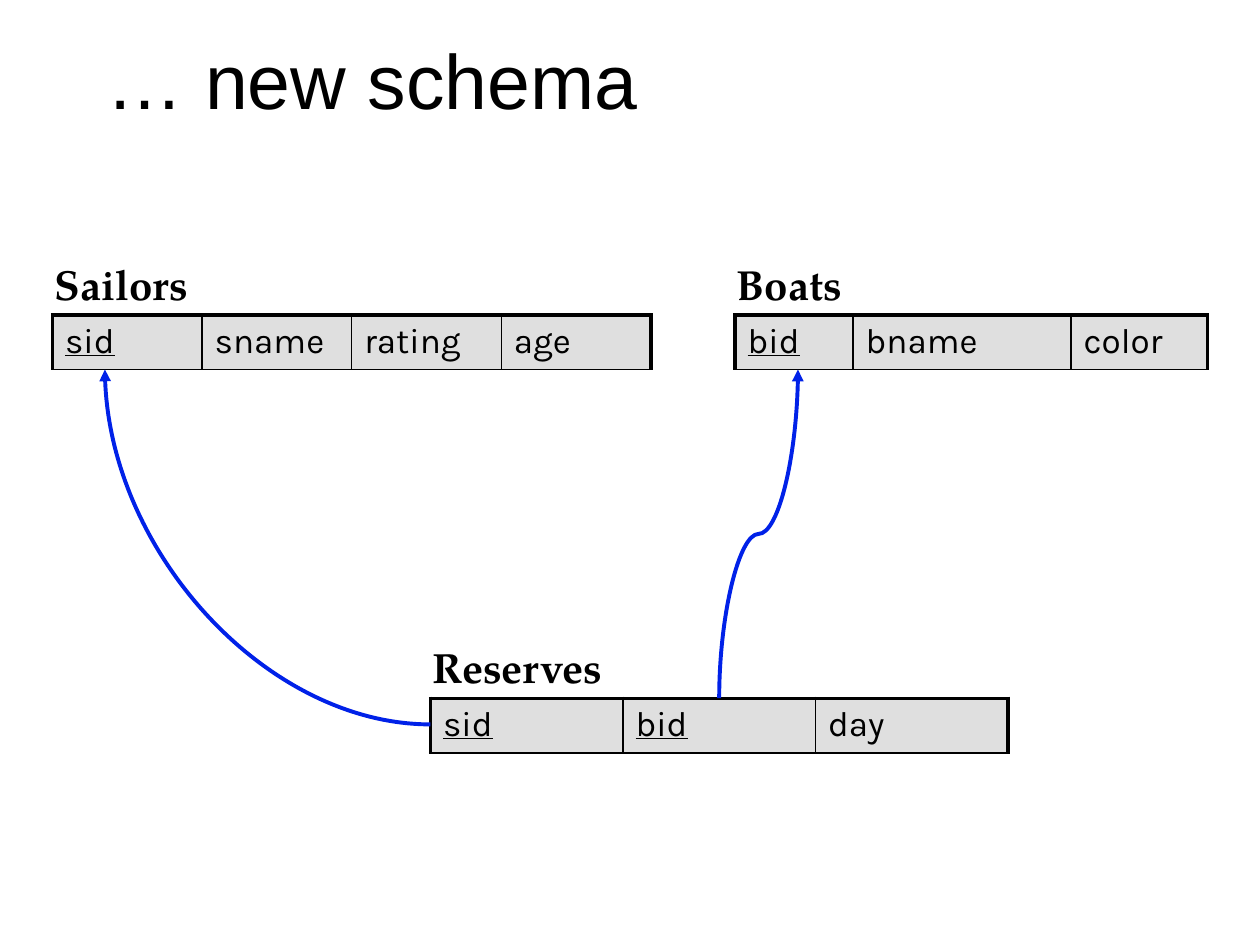
from dataclasses import dataclass

from lxml import etree
from pptx import Presentation
from pptx import util as u
from pptx.dml.color import RGBColor
from pptx.enum import shapes, text
from pptx.oxml.ns import qn

COLORS = {"ink": "000000", "cell": "C0C0C0", "arrow": "0021E8"}
UNITS_PER_INCH = 12  # one grid unit is a twelfth of an inch
ROW_HEIGHT = 5.2
THICK, THIN = 2.25, 1

TITLE_FONT = {"name": "Arial", "size": u.Pt(44)}
LABEL_FONT = {"name": "TeX Gyre Pagella", "size": u.Pt(24), "bold": True}
FIELD_FONT = {"name": "Karla", "size": u.Pt(20)}


@dataclass
class Field:
    name: str
    width: float
    key: bool = False


@dataclass
class Relation:
    name: str
    left: float
    top: float
    label_width: float
    fields: list[Field]


@dataclass
class Reference:
    begin: tuple[float, float]
    end: tuple[float, float]
    preset: str
    rotation: int = 0


RELATIONS = [
    Relation("Sailors", 5, 30, 15.25, [
        Field("sid", 14.25, True), Field("sname", 14.25),
        Field("rating", 14.25), Field("age", 14.25)]),
    Relation("Reserves", 41, 66.5, 18.85, [
        Field("sid", 55 / 3, True), Field("bid", 55 / 3, True), Field("day", 55 / 3)]),
    Relation("Boats", 70, 30, 12.5, [
        Field("bid", 11.25, True), Field("bname", 20.75), Field("color", 13)]),
]

REFERENCES = [
    Reference((41, 69), (10, 35.2), "curvedConnector2"),
    Reference((68.5, 66.5), (76, 35.2), "curvedConnector3", 90),
]


def grid(units: float) -> int:
    return u.Inches(units / UNITS_PER_INCH)


def add_run(paragraph, words: str, font_values: dict) -> None:
    run = paragraph.add_run()
    run.text = words
    for key, value in font_values.items():
        setattr(run.font, key, value)
    run.font.color.rgb = RGBColor.from_string(COLORS["ink"])


def add_text(slide, words: str, box: tuple, font_values: dict, frame_values: dict) -> None:
    frame = slide.shapes.add_textbox(*map(grid, box)).text_frame
    for key, value in frame_values.items():
        setattr(frame, key, value)
    add_run(frame.paragraphs[0], words, font_values)


def add_border(cell, side: str, points: float) -> None:
    line = etree.SubElement(cell._tc.get_or_add_tcPr(), qn(f"a:ln{side}"), w=str(u.Pt(points)))
    fill = etree.SubElement(line, qn("a:solidFill"))
    etree.SubElement(fill, qn("a:srgbClr"), val=COLORS["ink"])


def fill_cell(cell, field: Field, first: bool, last: bool) -> None:
    # Borders come before the fill in the cell's properties
    borders = {"L": THICK if first else THIN, "R": THICK if last else THIN,
               "T": THICK, "B": THIN}
    for side, points in borders.items():
        add_border(cell, side, points)
    cell.fill.solid()
    cell.fill.fore_color.rgb = RGBColor.from_string(COLORS["cell"])
    tint = cell._tc.tcPr.find(qn("a:solidFill"))[0]
    etree.SubElement(tint, qn("a:alpha"), val="50000")

    paragraph = cell.text_frame.paragraphs[0]
    spacing = etree.SubElement(paragraph._p.get_or_add_pPr(), qn("a:spcBef"))
    etree.SubElement(spacing, qn("a:spcPct"), val="20000")
    add_run(paragraph, field.name, FIELD_FONT | {"underline": field.key})


def add_relation(slide, relation: Relation) -> None:
    fields = relation.fields
    width = sum(field.width for field in fields)
    table = slide.shapes.add_table(
        1, len(fields), *map(grid, (relation.left, relation.top, width, ROW_HEIGHT))).table
    table.first_row = table.horz_banding = False
    for index, field in enumerate(fields):
        table.columns[index].width = grid(field.width)
        fill_cell(table.cell(0, index), field, index == 0, index == len(fields) - 1)
    # The name sits half an inch above its row
    add_text(slide, relation.name,
             (relation.left - 1, relation.top - 6, relation.label_width, 6.1), LABEL_FONT,
             {"word_wrap": False, "auto_size": text.MSO_AUTO_SIZE.SHAPE_TO_FIT_TEXT})


def add_reference(slide, reference: Reference) -> None:
    (x1, y1), (x2, y2) = reference.begin, reference.end
    if reference.rotation == 90:
        # Turn both ends back about the midpoint, so the rotation restores them
        mid_x, mid_y = (x1 + x2) / 2, (y1 + y2) / 2
        x1, y1, x2, y2 = (mid_x + y1 - mid_y, mid_y - x1 + mid_x,
                          mid_x + y2 - mid_y, mid_y - x2 + mid_x)
    arrow = slide.shapes.add_connector(
        shapes.MSO_CONNECTOR.CURVE, *map(grid, (x1, y1, x2, y2)))
    properties = arrow._element.spPr
    properties.find(qn("a:prstGeom")).set("prst", reference.preset)
    if reference.rotation:
        properties.find(qn("a:xfrm")).set("rot", str(reference.rotation * 60000))
    arrow.line.color.rgb = RGBColor.from_string(COLORS["arrow"])
    arrow.line.width = u.Pt(THICK)
    etree.SubElement(arrow.line._get_or_add_ln(), qn("a:tailEnd"), type="triangle")
    etree.SubElement(properties, qn("a:effectLst"))


def main() -> None:
    deck = Presentation()
    deck.slide_width, deck.slide_height = u.Inches(10), u.Inches(7.5)
    slide = deck.slides.add_slide(deck.slide_layouts[6])

    # Title
    add_text(slide, "… new schema", (9, 0, 102, 15), TITLE_FONT,
             {"word_wrap": True, "vertical_anchor": text.MSO_ANCHOR.MIDDLE})
    # Relations with their fields
    for relation in RELATIONS:
        add_relation(slide, relation)
    # Foreign keys
    for reference in REFERENCES:
        add_reference(slide, reference)

    deck.save("out.pptx")


if __name__ == "__main__":
    main()
